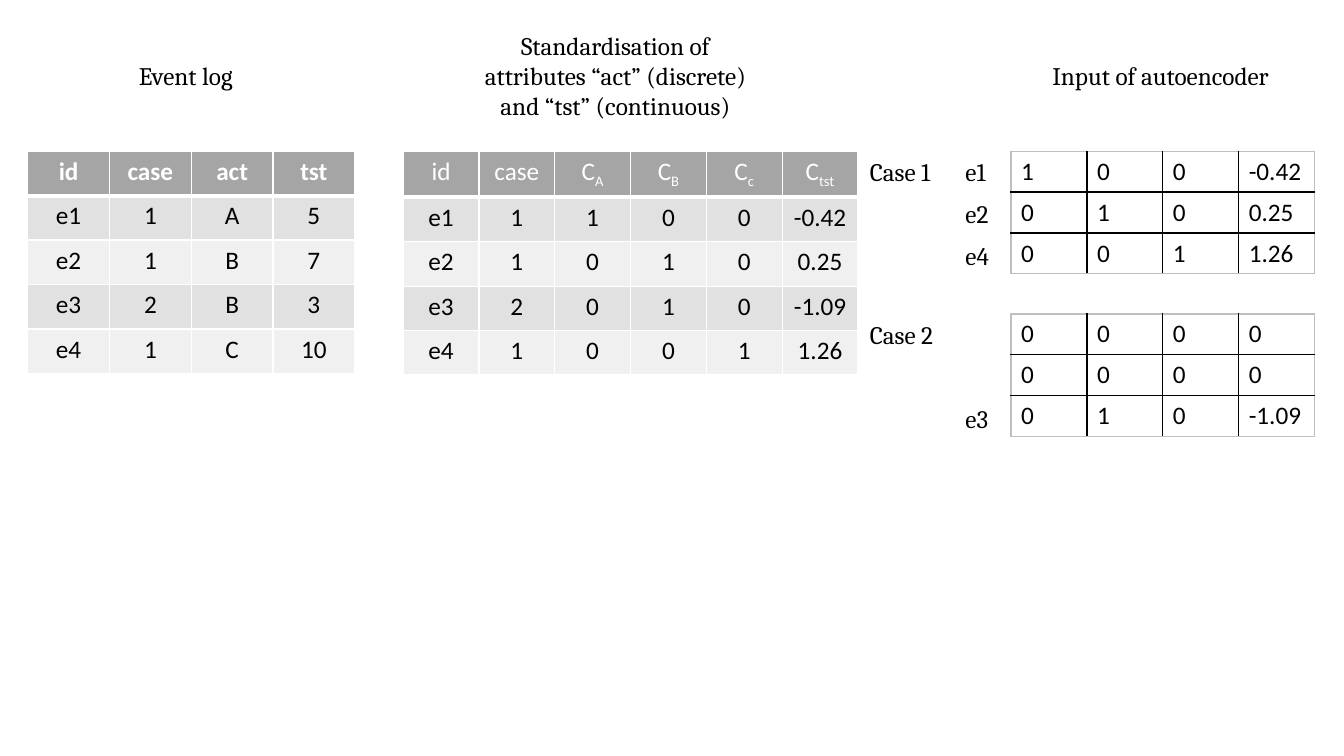
from dataclasses import dataclass

from lxml.etree import SubElement
from pptx import Presentation
from pptx.dml.color import RGBColor
from pptx.enum.text import PP_ALIGN
from pptx.oxml import parse_xml
from pptx.oxml.ns import nsdecls, qn
from pptx.util import Cm, Pt


@dataclass(frozen=True)
class Theme:
    heading_font: str = "Cambria"
    table_font: str = "Calibri"
    size: int = 18
    ink: str = "000000"
    white: str = "FFFFFF"
    header: str = "A5A5A5"
    odd_row: str = "E1E1E1"
    even_row: str = "F0F0F0"
    frame: str = "BFBFBF"


@dataclass(frozen=True)
class Box:
    left: float
    top: float
    width: float
    height: float


THEME = Theme()
TABLE_OFFSET = 3.17
ROW_HEIGHT = 1.12
MATRIX_ROW = 1.03
LABEL_PITCH = 1.06
LABEL_HEIGHT = 1.02
HEADING_CENTRE = 1.27


def format_paragraph(paragraph, font, color, align, bold=False):
    paragraph.alignment = align
    for run in paragraph.runs:
        run.font.name = font
        run.font.size = Pt(THEME.size)
        run.font.bold = bold
        run.font.color.rgb = RGBColor.from_string(color)


def add_label(slide, text, box, align=PP_ALIGN.LEFT):
    label = slide.shapes.add_textbox(
        Cm(box.left), Cm(box.top), Cm(box.width), Cm(box.height))
    label.text_frame.word_wrap = True
    label.text_frame.text = text
    for paragraph in label.text_frame.paragraphs:
        format_paragraph(paragraph, THEME.heading_font, THEME.ink, align)


def add_heading(slide, text, region, offset, width, align=PP_ALIGN.LEFT):
    height = 0.25 + 0.77 * len(text.splitlines())
    top = region.top + HEADING_CENTRE - height / 2
    add_label(slide, text, Box(region.left + offset, top, width, height), align)


def set_borders(cell, borders):
    properties = cell._tc.get_or_add_tcPr()
    for index, (side, (color, width)) in enumerate(zip("LRTB", borders)):
        line = parse_xml(f'<a:ln{side} {nsdecls("a")} w="{Pt(width)}"/>')
        fill = SubElement(line, qn("a:solidFill"))
        SubElement(fill, qn("a:srgbClr"), val=color)
        properties.insert(index, line)


def add_grid(slide, rows, box):
    grid = slide.shapes.add_table(
        len(rows), len(rows[0]),
        Cm(box.left), Cm(box.top), Cm(box.width), Cm(box.height)).table
    grid.first_row = grid.horz_banding = False
    for column in grid.columns:
        column.width = Cm(box.width / len(rows[0]))
    for row in grid.rows:
        row.height = Cm(box.height / len(rows))
    for r, values in enumerate(rows):
        for c, value in enumerate(values):
            base, _, subscript = value.partition("_")
            paragraph = grid.cell(r, c).text_frame.paragraphs[0]
            paragraph.text = base
            if subscript:
                run = paragraph.add_run()
                run.text = subscript
                run._r.get_or_add_rPr().set("baseline", "-25000")
    return grid


def add_banded_table(slide, rows, box, bold_header, header_height=ROW_HEIGHT):
    grid = add_grid(slide, rows, box)
    grid.rows[0].height = Cm(header_height)
    for r, row in enumerate(grid.rows):
        is_header = r == 0
        band = THEME.odd_row if r % 2 else THEME.even_row
        for cell in row.cells:
            cell.fill.solid()
            cell.fill.fore_color.rgb = RGBColor.from_string(
                THEME.header if is_header else band)
            widths = (1, 1, 3 if r == 1 else 1, 3 if is_header else 1)
            set_borders(cell, [(THEME.white, width) for width in widths])
            format_paragraph(
                cell.text_frame.paragraphs[0], THEME.table_font,
                THEME.white if is_header else THEME.ink,
                PP_ALIGN.CENTER, is_header and bold_header)


def add_matrix(slide, rows, box):
    grid = add_grid(slide, rows, box)
    last_row, last_column = len(rows) - 1, len(rows[0]) - 1
    for r, row in enumerate(grid.rows):
        for c, cell in enumerate(row.cells):
            cell.fill.background()
            outer = (c == 0, c == last_column, r == 0, r == last_row)
            set_borders(cell, [
                (THEME.frame if edge else THEME.ink, 1) for edge in outer])
            format_paragraph(cell.text_frame.paragraphs[0], THEME.table_font,
                             THEME.ink, PP_ALIGN.LEFT)


def event_log(slide, region):
    events = ["id case act tst", "e1 1 A 5", "e2 1 B 7", "e3 2 B 3", "e4 1 C 10"]
    rows = [event.split() for event in events]
    add_heading(slide, "Event log", region, 2.55, 3.12)
    add_banded_table(
        slide, rows,
        Box(region.left, region.top + TABLE_OFFSET,
            region.width, ROW_HEIGHT * len(rows)), bold_header=True)


def standardisation(slide, region):
    events = ["id case C_A C_B C_c C_tst", "e1 1 1 0 0 -0.42",
              "e2 1 0 1 0 0.25", "e3 2 0 1 0 -1.09", "e4 1 0 0 1 1.26"]
    rows = [event.split() for event in events]
    add_heading(
        slide, "Standardisation of\nattributes “act” (discrete)\n"
        "and “tst” (continuous)", region, 1.6, 7.5, PP_ALIGN.CENTER)
    add_banded_table(
        slide, rows,
        Box(region.left, region.top + TABLE_OFFSET,
            region.width, ROW_HEIGHT * len(rows)),
        bold_header=False, header_height=1.16)


def autoencoder_input(slide, region):
    cases = [
        ("Case 1", ["e1", "e2", "e4"], ["1 0 0 -0.42", "0 1 0 0.25", "0 0 1 1.26"]),
        ("Case 2", ["", "", "e3"], ["0 0 0 0", "0 0 0 0", "0 1 0 -1.09"]),
    ]
    event_offset, matrix_offset, case_pitch = 2.41, 3.81, 4.1
    add_heading(slide, "Input of autoencoder", region, 4.6, 6.4)
    for index, (case, events, vectors) in enumerate(cases):
        top = region.top + TABLE_OFFSET + index * case_pitch
        rows = [vector.split() for vector in vectors]
        add_matrix(slide, rows, Box(
            region.left + matrix_offset, top,
            region.width - matrix_offset, MATRIX_ROW * len(rows)))
        add_label(slide, case, Box(region.left, top, 2.4, LABEL_HEIGHT))
        for position, event in enumerate(events):
            if event:
                add_label(slide, event, Box(
                    region.left + event_offset, top + position * LABEL_PITCH,
                    1.42, LABEL_HEIGHT))


def main():
    presentation = Presentation()
    presentation.slide_width = Cm(33.87)
    presentation.slide_height = Cm(19.05)
    slide = presentation.slides.add_slide(presentation.slide_layouts[6])
    event_log(slide, Box(0.7, 0.64, 8.24, 8.77))
    standardisation(slide, Box(10.16, 0.64, 11.46, 8.77))
    autoencoder_input(slide, Box(21.67, 0.64, 11.45 + 0.01, 10.36))
    presentation.save("out.pptx")


main()
